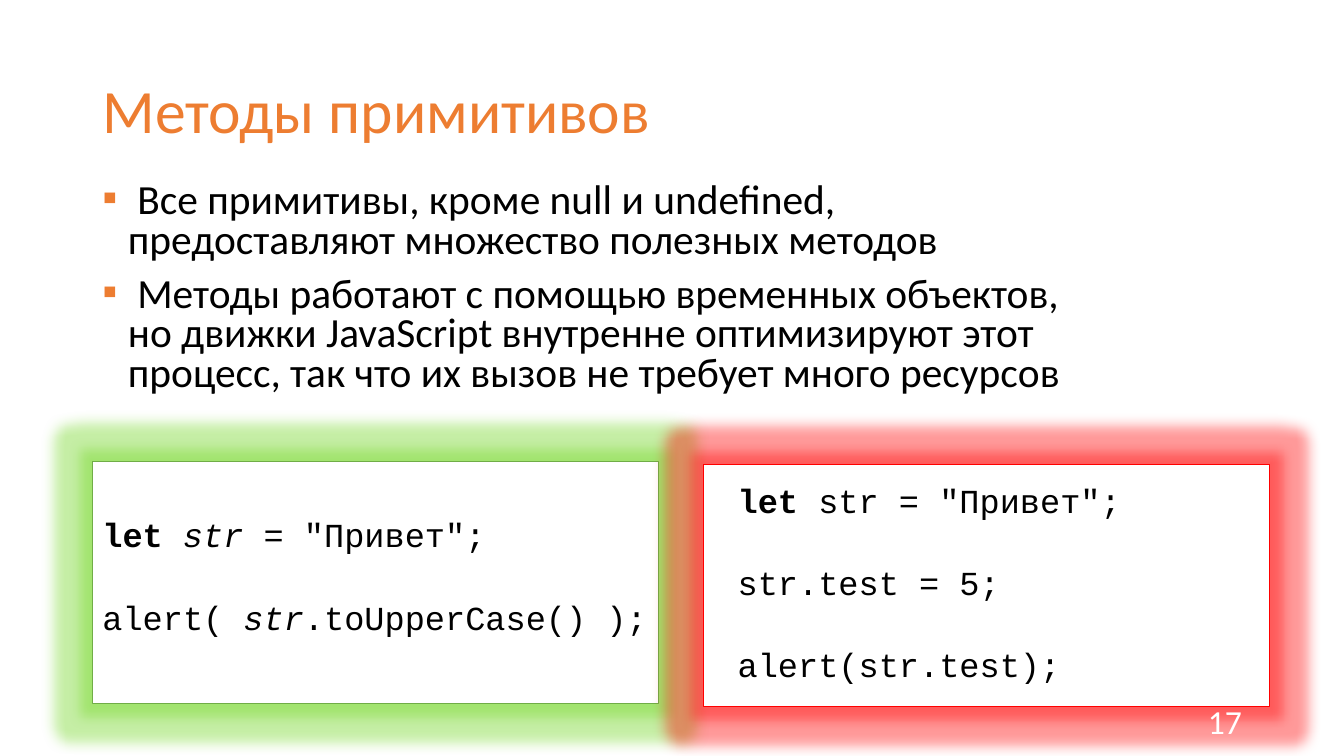
"""Build the slide about methods of primitives in JavaScript."""
from lxml import etree
from pptx import Presentation
from pptx.dml.color import RGBColor
from pptx.enum.shapes import MSO_SHAPE
from pptx.enum.text import MSO_ANCHOR, MSO_AUTO_SIZE, PP_ALIGN
from pptx.oxml.ns import qn
from pptx.util import Cm, Pt

RECTANGLE = MSO_SHAPE.RECTANGLE
TOP, MIDDLE = MSO_ANCHOR.TOP, MSO_ANCHOR.MIDDLE
NO_AUTOFIT = MSO_AUTO_SIZE.NONE
LEFT, RIGHT = PP_ALIGN.LEFT, PP_ALIGN.RIGHT
ORANGE, BLACK, WHITE = "ED7D31", "000000", "FFFFFF"
TEXT_FONT, CODE_FONT = "Calibri", "Courier New"

POINTS = [
    " Все примитивы, кроме null и undefined, предоставляют множество полезных методов",
    " Методы работают с помощью временных объектов, но движки JavaScript внутренне "
    "оптимизируют этот процесс, так что их вызов не требует много ресурсов",
]
WORKING_CODE = [
    [("let ", "bold"), ("str", "italic"), (' = "Привет";', "")],
    [("alert( ", ""), ("str", "italic"), (".toUpperCase() );", "")],
]
FAILING_CODE = [
    [("let ", "bold"), ('str = "Привет";', "")],
    [("str.test = 5;", "")],
    [("alert(str.test);", "")],
]


def color(value):
    """Turn a hex string into a colour."""
    return RGBColor.from_string(value)


def set_font(paragraph, name, size, value):
    """Set the font, size and colour of a paragraph."""
    font = paragraph.font
    font.name, font.size = name, Pt(size)
    font.color.rgb = color(value)


def place(shape, left, top, width, height):
    """Move and size a shape, in centimetres."""
    shape.left, shape.top = Cm(left), Cm(top)
    shape.width, shape.height = Cm(width), Cm(height)


def prepare_frame(shape, anchor):
    """Return the text frame of a shape, wrapped and anchored."""
    frame = shape.text_frame
    frame.word_wrap = True
    frame.auto_size = NO_AUTOFIT
    frame.vertical_anchor = anchor
    return frame


def add_bullet(paragraph, symbol, value):
    """Give a paragraph a hanging coloured bullet."""
    properties = paragraph._p.get_or_add_pPr()
    properties.set("marL", str(Cm(0.64)))
    properties.set("indent", str(-Cm(0.64)))
    bullet_color = etree.SubElement(properties, qn("a:buClr"))
    etree.SubElement(bullet_color, qn("a:srgbClr"), val=value)
    etree.SubElement(properties, qn("a:buFont"), typeface=TEXT_FONT)
    etree.SubElement(properties, qn("a:buChar"), char=symbol)


def fill_title(title, text):
    """Write and format the title."""
    place(title, 2.33, 1.01, 29.21, 3.68)
    paragraph = prepare_frame(title, MIDDLE).paragraphs[0]
    paragraph.text = text
    paragraph.alignment = LEFT
    paragraph.line_spacing = 0.9
    set_font(paragraph, TEXT_FONT, 44, ORANGE)


def fill_list(body, points):
    """Write and format the bulleted list."""
    place(body, 2.33, 4.48, 24.92, 7.08)
    frame = prepare_frame(body, TOP)
    for index, point in enumerate(points):
        paragraph = frame.add_paragraph() if index else frame.paragraphs[0]
        paragraph.text = point
        paragraph.line_spacing = 0.8
        paragraph.space_before = Pt(10)
        add_bullet(paragraph, "▪", ORANGE)
        set_font(paragraph, TEXT_FONT, 29.6, BLACK)


def add_glowing_box(slide, left, top, line_color, glow_color):
    """Add a white box with a coloured outline and glow."""
    box = slide.shapes.add_shape(RECTANGLE, Cm(left), Cm(top), Cm(14.26), Cm(6.1))
    box.fill.solid()
    box.fill.fore_color.rgb = color(WHITE)
    box.line.color.rgb = color(line_color)
    box.line.width = Pt(1)
    box.shadow.inherit = False
    effects = box._element.spPr.find(qn("a:effectLst"))
    glow = etree.SubElement(effects, qn("a:glow"), rad=str(Pt(18)))
    glow_fill = etree.SubElement(glow, qn("a:srgbClr"), val=glow_color)
    etree.SubElement(glow_fill, qn("a:alpha"), val="40000")


def add_code(slide, left, top, height, lines):
    """Add lines of code with wide gaps between them."""
    text_box = slide.shapes.add_textbox(Cm(left), Cm(top), Cm(14.96), Cm(height))
    frame = prepare_frame(text_box, TOP)
    for index, line in enumerate(lines):
        paragraph = frame.add_paragraph() if index else frame.paragraphs[0]
        paragraph.space_before = Pt(30 if index else 0)
        set_font(paragraph, CODE_FONT, 24, BLACK)
        for text, style in line:
            run = paragraph.add_run()
            run.text = text
            if style == "bold":
                run.font.bold = True
            elif style == "italic":
                run.font.italic = True


def add_page_number(slide, number):
    """Add the page number at the lower right."""
    text_box = slide.shapes.add_textbox(Cm(23.93), Cm(17.65), Cm(7.62), Cm(1.02))
    paragraph = prepare_frame(text_box, MIDDLE).paragraphs[0]
    paragraph.text = number
    paragraph.alignment = RIGHT
    set_font(paragraph, TEXT_FONT, 24, WHITE)


def main():
    """Build and save the presentation."""
    presentation = Presentation()
    presentation.slide_width, presentation.slide_height = Cm(33.87), Cm(19.05)
    slide = presentation.slides.add_slide(presentation.slide_layouts[1])
    fill_title(slide.shapes.title, "Методы примитивов")
    fill_list(slide.placeholders[1], POINTS)
    add_glowing_box(slide, 2.33, 11.63, "70AD47", "6FD61E")
    add_glowing_box(slide, 17.73, 11.71, "FF0000", "FF0000")
    add_code(slide, 2.33, 12.83, 3.33, WORKING_CODE)
    add_code(slide, 18.34, 11.96, 5.38, FAILING_CODE)
    add_page_number(slide, "17")
    presentation.save("out.pptx")


if __name__ == "__main__":
    main()
